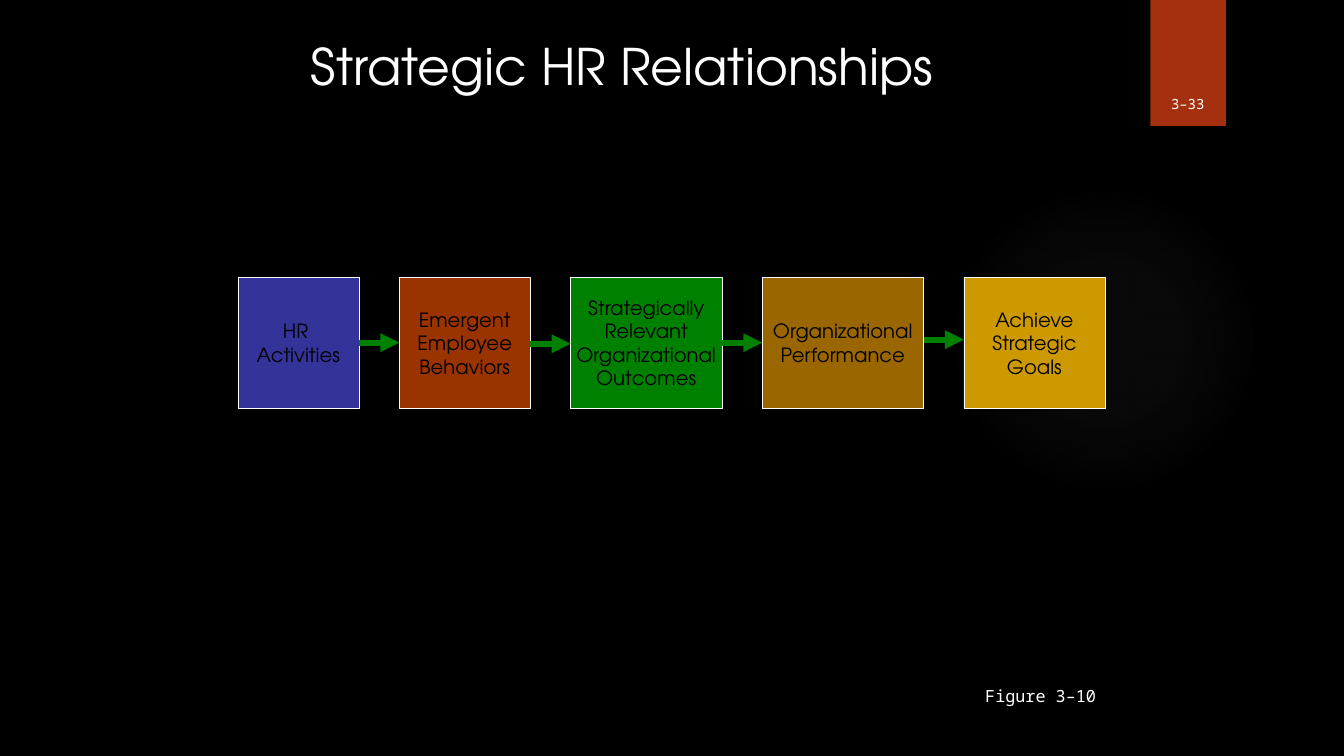
from lxml.etree import SubElement
from pptx import Presentation
from pptx.dml.color import RGBColor
from pptx.enum.shapes import MSO_CONNECTOR as Connector, MSO_SHAPE as Shape
from pptx.enum.text import MSO_ANCHOR as Anchor, PP_ALIGN as Align
from pptx.oxml.ns import qn
from pptx.util import Inches, Pt

BLACK = RGBColor(0x00, 0x00, 0x00)
WHITE = RGBColor(0xFF, 0xFF, 0xFF)
GRAY = RGBColor(0x84, 0x84, 0x84)
RED = RGBColor(0xA5, 0x30, 0x0F)
BLUE = RGBColor(0x33, 0x33, 0x99)
RUST = RGBColor(0x99, 0x33, 0x00)
GREEN = RGBColor(0x00, 0x80, 0x00)
BROWN = RGBColor(0x99, 0x66, 0x00)
GOLD = RGBColor(0xCC, 0x99, 0x00)

SANS = "TeX Gyre Adventor"
MONO = "Noto Sans Mono"

STAGES = [
    ("HR \vActivities", 1.2, BLUE),
    ("Emergent Employee Behaviors", 1.3, RUST),
    ("Strategically Relevant Organizational Outcomes", 1.5, GREEN),
    ("Organizational Performance", 1.6, BROWN),
    ("Achieve Strategic Goals", 1.4, GOLD),
]
ARROW_HEIGHTS = [3.4, 3.41, 3.4, 3.37]
CHAIN_LEFT, CHAIN_TOP, STAGE_HEIGHT, GAP = 2.36, 2.75, 1.3, 0.4


class SlideBuilder:
    """Draws styled elements on the current slide."""

    def __init__(self, page):
        self.page = page
        page.background.fill.solid()
        page.background.fill.fore_color.rgb = BLACK

    def set_text(self, shape, text, size, font, color, align, anchor, wrap=True):
        frame = shape.text_frame
        frame.word_wrap = wrap
        frame.vertical_anchor = anchor
        para = frame.paragraphs[0]
        para.text = text
        para.alignment = align
        para.font.size = Pt(size)
        para.font.name = font
        para.font.color.rgb = color

    def text(self, area, *style, **options):
        box = self.page.shapes.add_textbox(*map(Inches, area))
        self.set_text(box, *style, **options)

    def shape(self, kind, area, color):
        shape = self.page.shapes.add_shape(kind, *map(Inches, area))
        shape.shadow.inherit = False
        shape.fill.solid()
        shape.fill.fore_color.rgb = color
        shape.line.fill.background()
        return shape

    def stage(self, area, text, color):
        box = self.shape(Shape.RECTANGLE, area, color)
        box.line.color.rgb = WHITE
        box.line.width = Pt(0.25)
        box.text_frame.margin_left = box.text_frame.margin_right = 0
        self.set_text(box, text, 14, SANS, BLACK, Align.CENTER, Anchor.MIDDLE)

    def arrow(self, left, right, height):
        arrow = self.page.shapes.add_connector(
            Connector.STRAIGHT, Inches(left), Inches(height), Inches(right), Inches(height))
        arrow.line.color.rgb = GREEN
        arrow.line.width = Pt(4.5)
        properties = arrow._element.spPr
        SubElement(properties.find(qn("a:ln")), qn("a:tailEnd"), type="triangle")
        SubElement(properties, qn("a:effectLst"))

    def glow(self, area, color, stops):
        circle = self.shape(Shape.OVAL, area, color)
        circle.fill.gradient()
        gradient = circle._element.spPr.find(qn("a:gradFill"))
        for child in list(gradient):
            gradient.remove(child)
        stop_list = SubElement(gradient, qn("a:gsLst"))
        for position, opacity in stops:
            stop = SubElement(stop_list, qn("a:gs"), pos=str(position * 1000))
            tone = SubElement(stop, qn("a:srgbClr"), val=str(color))
            SubElement(tone, qn("a:alpha"), val=str(opacity * 1000))
        shading = SubElement(gradient, qn("a:path"), {"path": "circle"})
        SubElement(shading, qn("a:fillToRect"), l="50000", t="50000", r="50000", b="50000")


def main():
    deck = Presentation()
    deck.slide_width, deck.slide_height = Inches(13.33), Inches(7.5)
    builder = SlideBuilder(deck.slides.add_slide(deck.slide_layouts[6]))

    builder.glow((9.41, 1.83, 3.08, 3.08), GRAY, [(0, 7), (36, 6), (69, 0)])
    builder.shape(Shape.RECTANGLE, (11.41, 0, 0.75, 1.25), RED)
    builder.text((11.32, 0.32, 0.92, 0.84), "3–33", 10, MONO, WHITE,
                 Align.CENTER, Anchor.BOTTOM)
    builder.text((1.67, 0.3, 9, 1.25), "Strategic HR Relationships", 36, SANS, WHITE,
                 Align.CENTER, Anchor.TOP)
    builder.text((8.57, 6.75, 2.5, 0.3), "Figure 3–10 ", 12, MONO, WHITE,
                 Align.RIGHT, Anchor.MIDDLE, wrap=False)

    left = CHAIN_LEFT
    arrow_starts = []
    for text, width, color in STAGES:
        builder.stage((left, CHAIN_TOP, width, STAGE_HEIGHT), text, color)
        arrow_starts.append(left + width)
        left += width + GAP
    for start, height in zip(arrow_starts, ARROW_HEIGHTS):
        builder.arrow(start, start + GAP, height)

    deck.save("out.pptx")


if __name__ == "__main__":
    main()
